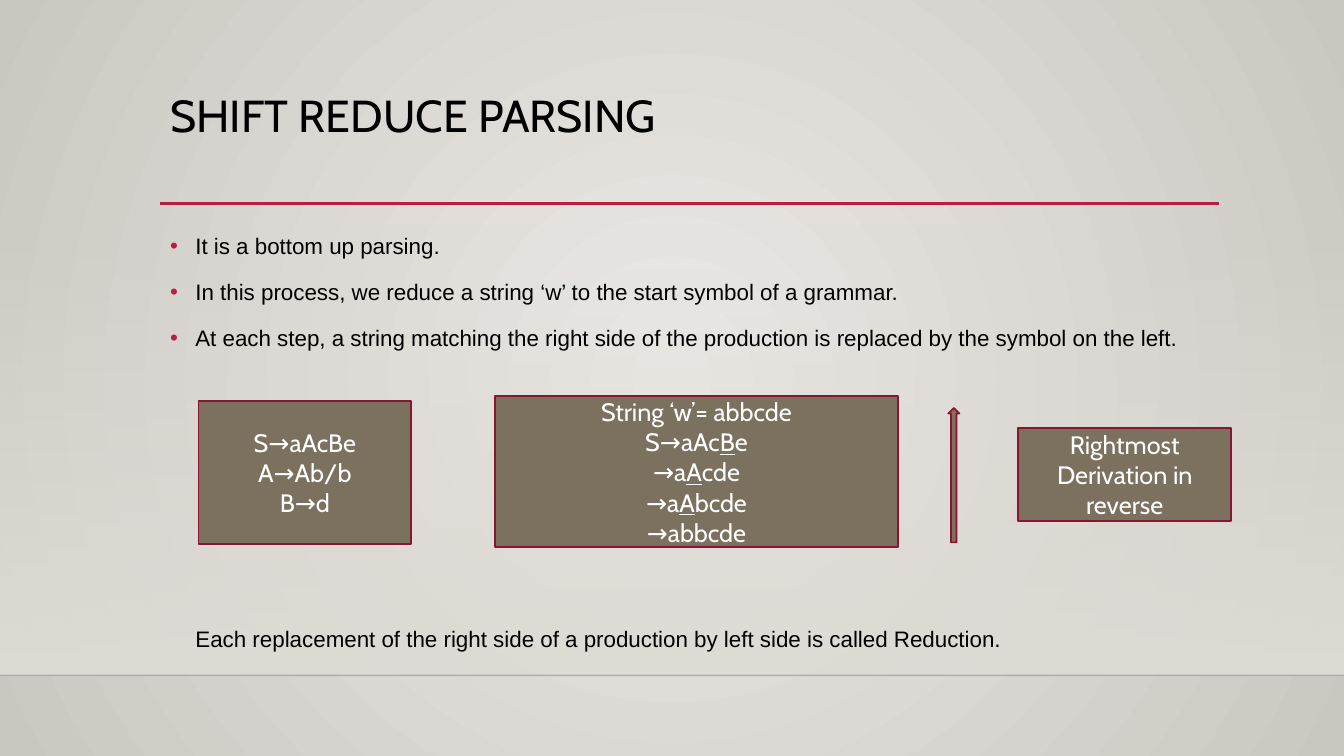
"""Build the slide on shift reduce parsing."""
from lxml import etree
from pptx import Presentation
from pptx.dml.color import RGBColor
from pptx.enum import shapes, text
from pptx.oxml.ns import qn
from pptx.util import Pt

BLACK = RGBColor(0, 0, 0)
WHITE = RGBColor(0xFF, 0xFF, 0xFF)
CRIMSON = RGBColor(0xB7, 0x1E, 0x42)
MAROON = RGBColor(0x87, 0x16, 0x31)
TAUPE = RGBColor(0x7C, 0x70, 0x5E)
SAND = RGBColor(0xDF, 0xDB, 0xD5)
PALE = RGBColor(0xEC, 0xEA, 0xE7)
STONE = RGBColor(0xCA, 0xC7, 0xC1)
NEAR_BLACK = RGBColor(0, 0, 1)


def add_sub(parent, tag, **attributes):
    return etree.SubElement(parent, qn(tag), attributes)


def style_paragraph(para, font, size, color, spacing=None):
    para.line_spacing = spacing
    para.font.name = font
    para.font.size = Pt(size)
    para.font.color.rgb = color


deck = Presentation()
deck.slide_width, deck.slide_height = Pt(960), Pt(540)
page = deck.slides.add_slide(deck.slide_layouts[6])

backdrop = page.background.fill
backdrop.gradient()
for stop, color in zip(backdrop.gradient_stops, (PALE, STONE)):
    stop.color.rgb = color
gradient = next(page.element.iter(qn("a:gradFill")))
gradient.remove(gradient.find(qn("a:lin")))
circle = add_sub(gradient, "a:path", path="circle")
add_sub(circle, "a:fillToRect", l="50000", t="50000", r="50000", b="50000")

floor = page.shapes.add_shape(shapes.MSO_SHAPE.RECTANGLE, Pt(0), Pt(159), Pt(960), Pt(323.4))
floor.shadow.inherit = False
floor.line.fill.background()
floor.fill.gradient()
floor.fill.gradient_angle = 270
for stop in floor.fill.gradient_stops:
    stop.color.rgb = SAND
add_sub(next(floor.element.iter(qn("a:srgbClr"))), "a:alpha", val="0")

rules = []
for left, right, y, color, width in ((0, 960, 482.4, NEAR_BLACK, 1), (114.5, 871, 145.3, CRIMSON, 2.5)):
    rule = page.shapes.add_connector(shapes.MSO_CONNECTOR.STRAIGHT, Pt(left), Pt(y), Pt(right), Pt(y))
    rule.line.color.rgb = color
    rule.line.width = Pt(width)
    add_sub(rule.element.spPr, "a:effectLst")
    rules.append(rule)
add_sub(next(rules[0].element.iter(qn("a:srgbClr"))), "a:alpha", val="20000")

title = page.shapes.add_textbox(Pt(114.5), Pt(63.4), Pt(756), Pt(82.8)).text_frame
title.word_wrap = True
title.text = "SHIFT REDUCE PARSING"
style_paragraph(title.paragraphs[0], "Cabin", 32, BLACK, 0.9)

points = page.shapes.add_textbox(Pt(114.5), Pt(158.4), Pt(756), Pt(105)).text_frame
points.word_wrap = True
points.text = "\n".join((
    "It is a bottom up parsing.",
    "In this process, we reduce a string ‘w’ to the start symbol of a grammar.",
    "At each step, a string matching the right side of the production is replaced by the symbol on the left.",
))
for index, para in enumerate(points.paragraphs):
    properties = para._p.get_or_add_pPr()
    properties.set("marL", str(Pt(18)))
    properties.set("indent", str(Pt(-18)))
    add_sub(add_sub(properties, "a:buClr"), "a:srgbClr", val=str(CRIMSON))
    add_sub(properties, "a:buFont", typeface="Arial")
    add_sub(properties, "a:buChar", char="•")
    para.alignment = text.PP_ALIGN.JUSTIFY
    para.space_before = Pt(10 if index else 0)
    style_paragraph(para, "Arial", 16, BLACK, 1.2)

closing = page.shapes.add_textbox(Pt(132.5), Pt(439.5), Pt(738), Pt(30)).text_frame
closing.word_wrap = True
closing.text = "Each replacement of the right side of a production by left side is called Reduction."
style_paragraph(closing.paragraphs[0], "Arial", 16, BLACK, 1.2)

RECTANGLE, UP_ARROW = shapes.MSO_SHAPE.RECTANGLE, shapes.MSO_SHAPE.UP_ARROW
grammar = [["S→aAcBe"], ["A→Ab/b"], ["B→d"]]
derivation = [
    ["String ‘w’= abbcde"],
    ["S→aAc", "B", "e"],
    ["→a", "A", "cde"],
    ["→a", "A", "bcde"],
    ["→abbcde"],
]
blocks = (
    (RECTANGLE, 141.8, 286.6, 152, 102, grammar),
    (RECTANGLE, 353.5, 283, 288, 108, derivation),
    (RECTANGLE, 727.4, 306, 152, 66, [["Rightmost Derivation in reverse"]]),
    (UP_ARROW, 677.3, 291.4, 8, 96, []),
)
for kind, left, top, width, height, lines in blocks:
    block = page.shapes.add_shape(kind, Pt(left), Pt(top), Pt(width), Pt(height))
    block.shadow.inherit = False
    block.fill.solid()
    block.fill.fore_color.rgb = TAUPE
    block.line.color.rgb = MAROON
    block.line.width = Pt(1.25)
    frame = block.text_frame
    frame.vertical_anchor = text.MSO_ANCHOR.MIDDLE
    for index, pieces in enumerate(lines):
        para = frame.add_paragraph() if index else frame.paragraphs[0]
        para.alignment = text.PP_ALIGN.CENTER
        style_paragraph(para, "Cabin", 18, WHITE)
        for position, piece in enumerate(pieces):
            span = para.add_run()
            span.text = piece
            if position == 1:
                span.font.underline = True

deck.save("out.pptx")
